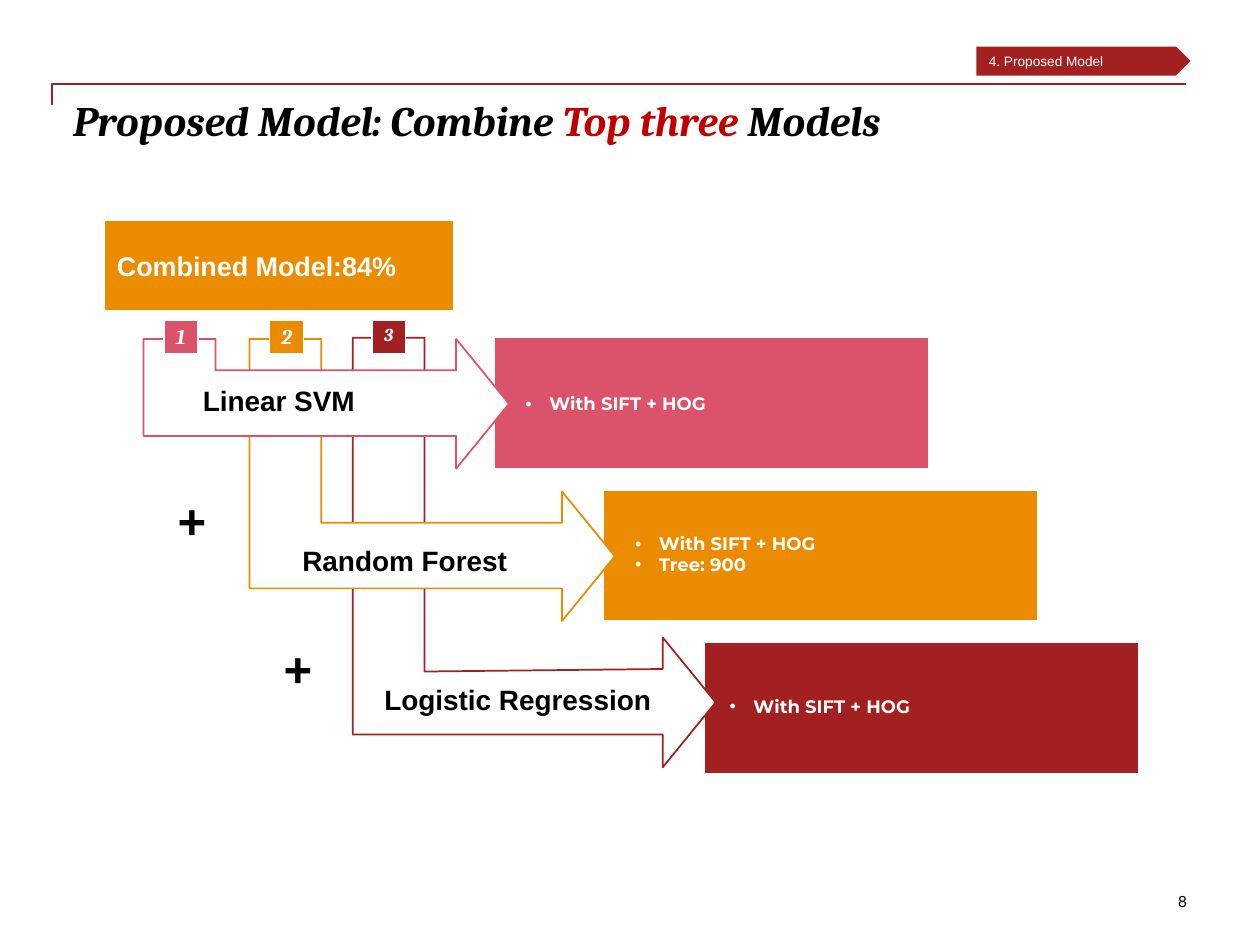
from pptx import Presentation
from pptx.dml.color import RGBColor
from pptx.enum.shapes import MSO_CONNECTOR, MSO_SHAPE
from pptx.enum.text import MSO_ANCHOR, PP_ALIGN
from pptx.oxml.ns import qn
from pptx.util import Inches, Pt
from lxml import etree

RECT, PENTAGON = MSO_SHAPE.RECTANGLE, MSO_SHAPE.PENTAGON
ELBOW = MSO_CONNECTOR.ELBOW
TOP, MIDDLE = MSO_ANCHOR.TOP, MSO_ANCHOR.MIDDLE
LEFT, CENTER, RIGHT = PP_ALIGN.LEFT, PP_ALIGN.CENTER, PP_ALIGN.RIGHT

BLACK = RGBColor(0x00, 0x00, 0x00)
WHITE = RGBColor(0xFF, 0xFF, 0xFF)
RED = RGBColor(0xC0, 0x00, 0x00)
DARK_RED = RGBColor(0xA3, 0x20, 0x20)
ORANGE = RGBColor(0xEB, 0x8C, 0x00)
PINK = RGBColor(0xDB, 0x53, 0x6A)

# Content, with positions in inches
TITLE = [("Proposed Model: Combine ", BLACK), ("Top three ", RED), ("Models", BLACK)]
SECTION = "4. Proposed Model"
PAGE = "8"
SUMMARY = "Combined Model:84%"
MODELS = [
    dict(name="Linear SVM", name_at=(1.61, 3.04), notes=["With SIFT + HOG"],
         notes_at=(4.17, 3.13), panel_at=(3.92, 2.68), color=PINK,
         arrow_at=(1.14, 2.69), corner=2.94, head_top=2.69, shaft=2.48,
         tag="1", tag_left=1.3, tag_size=12, tag_inset=0.03),
    dict(name="Random Forest", name_at=(2.4, 4.31), notes=["With SIFT + HOG", "Tree: 900"],
         notes_at=(5.04, 4.24), panel_at=(4.79, 3.89), color=ORANGE,
         arrow_at=(1.98, 2.69), corner=4.15, head_top=3.9, shaft=2.48,
         tag="2", tag_left=2.14, tag_size=12, tag_inset=0.03),
    dict(name="Logistic Regression", name_at=(3.05, 5.42), notes=["With SIFT + HOG"],
         notes_at=(5.79, 5.53), panel_at=(5.59, 5.1), color=DARK_RED,
         arrow_at=(2.8, 2.68), corner=5.33, head_top=5.06, shaft=2.46,
         tag="3", tag_left=2.95, tag_size=10.3, tag_inset=0),
]
PLUS_SIGNS = [(1.41, 3.89), (2.25, 5.07)]

# Arrow proportions
STEM_WIDTH, HEAD_LENGTH, HEAD_HEIGHT = 0.57, 0.42, 1.03
SHAFT_TOP, SHAFT_BOTTOM = 0.25, 0.77

prs = Presentation()
prs.slide_width, prs.slide_height = Inches(10), Inches(7.5)
slide = prs.slides.add_slide(prs.slide_layouts[6])
shapes = slide.shapes


def style_font(font, size, color, name="Arial", bold=False, italic=False):
    font.size, font.name = Pt(size), name
    font.bold, font.italic = bold, italic
    font.color.rgb = color


def set_frame(frame, insets, anchor, wrap=True):
    frame.word_wrap, frame.vertical_anchor = wrap, anchor
    (frame.margin_left, frame.margin_top,
     frame.margin_right, frame.margin_bottom) = map(Inches, insets)


def add_text(box, lines, size, color, align=LEFT, insets=(0, 0, 0, 0),
             anchor=TOP, wrap=True, **font):
    """Write the lines into a frame and return their paragraphs."""
    frame = box.text_frame
    set_frame(frame, insets, anchor, wrap)
    frame.text = "\n".join(lines)
    for paragraph in frame.paragraphs:
        paragraph.alignment = align
        style_font(paragraph.font, size, color, **font)
    return frame.paragraphs


def text_box(left, top, width, height):
    return shapes.add_textbox(*map(Inches, (left, top, width, height)))


def paint(shape, fill, line):
    shape.shadow.inherit = False
    shape.fill.solid()
    shape.fill.fore_color.rgb = fill
    shape.line.color.rgb = line
    shape.line.width = Pt(1)


def block(left, top, width, height, fill):
    shape = shapes.add_shape(RECT, *map(Inches, (left, top, width, height)))
    paint(shape, fill, WHITE)
    return shape


def add_arrow(model):
    left, top = model["arrow_at"]
    head = model["head_top"]
    neck = left + model["shaft"]
    outline = [
        (left, top), (left + STEM_WIDTH, top), (left + STEM_WIDTH, model["corner"]),
        (neck, head + SHAFT_TOP), (neck, head),
        (neck + HEAD_LENGTH, head + HEAD_HEIGHT / 2), (neck, head + HEAD_HEIGHT),
        (neck, head + SHAFT_BOTTOM), (left, head + SHAFT_BOTTOM),
    ]
    points = [(Inches(x), Inches(y)) for x, y in outline]
    builder = shapes.build_freeform(*points[0])
    builder.add_line_segments(points[1:], close=True)
    paint(builder.convert_to_shape(), WHITE, model["color"])


def add_bullet(paragraph):
    properties = paragraph._p.get_or_add_pPr()
    properties.set("marL", str(Inches(0.19)))
    properties.set("indent", str(-Inches(0.19)))
    etree.SubElement(properties, qn("a:buFont")).set("typeface", "Arial")
    etree.SubElement(properties, qn("a:buChar")).set("char", "•")


# Header rule: a one-bend elbow, turned a quarter so its short leg drops at the left
rule = shapes.add_connector(ELBOW, *map(Inches, (5, 5.25, 4.83, -3.75)))
rule.line.color.rgb = DARK_RED
rule.line.width = Pt(1)
rule_properties = rule._element.spPr
rule_properties.find(qn("a:xfrm")).set("rot", str(90 * 60000))
rule_properties.find(qn("a:prstGeom")).set("prst", "bentConnector2")
etree.SubElement(rule_properties, qn("a:effectLst"))

# Page number, title and section marker
add_text(text_box(7.75, 7.08, 1.67, 0.17), [PAGE], 9.1, BLACK, RIGHT)

title = text_box(0.58, 0.75, 8.95, 0.59).text_frame
set_frame(title, (0, 0, 0, 0), TOP)
for words, color in TITLE:
    run = title.paragraphs[0].add_run()
    run.text = words
    style_font(run.font, 24, color, "Cambria", bold=True, italic=True)

section = shapes.add_shape(PENTAGON, *map(Inches, (7.75, 0.37, 1.7, 0.23)))
paint(section, DARK_RED, DARK_RED)
section.line.fill.background()
add_text(section, [SECTION], 7.8, WHITE, insets=(0.1, 0.05, 0.1, 0.05), anchor=MIDDLE)

# Panels, then arrows with the first model in front
for model in MODELS:
    block(*model["panel_at"], 3.45, 1.04, model["color"])
for model in reversed(MODELS):
    add_arrow(model)

# Number tags, notes and names
for model in MODELS:
    tag = block(model["tag_left"], 2.54, 0.27, 0.27, model["color"])
    add_text(tag, [model["tag"]], model["tag_size"], WHITE, CENTER,
             (0.1, model["tag_inset"], 0.1, 0.05), MIDDLE, wrap=False,
             name="Cambria", bold=True, italic=True)

    notes = add_text(text_box(*model["notes_at"], 3.06, 0.33), model["notes"],
                     10.3, WHITE, name="Montserrat", bold=True)
    for note in notes:
        note.line_spacing = 0.95
        add_bullet(note)

    add_text(text_box(*model["name_at"], 2.57, 0.38), [model["name"]], 16, BLACK, bold=True)

for left, top in PLUS_SIGNS:
    add_text(text_box(left, top, 0.39, 0.38), ["+"], 28, BLACK, bold=True)

# Combined result
add_text(block(0.83, 1.75, 2.77, 0.72, ORANGE), [SUMMARY], 15.4, WHITE,
         insets=(0.1, 0.05, 0.1, 0.05), anchor=MIDDLE, wrap=False, bold=True)

prs.save("out.pptx")
